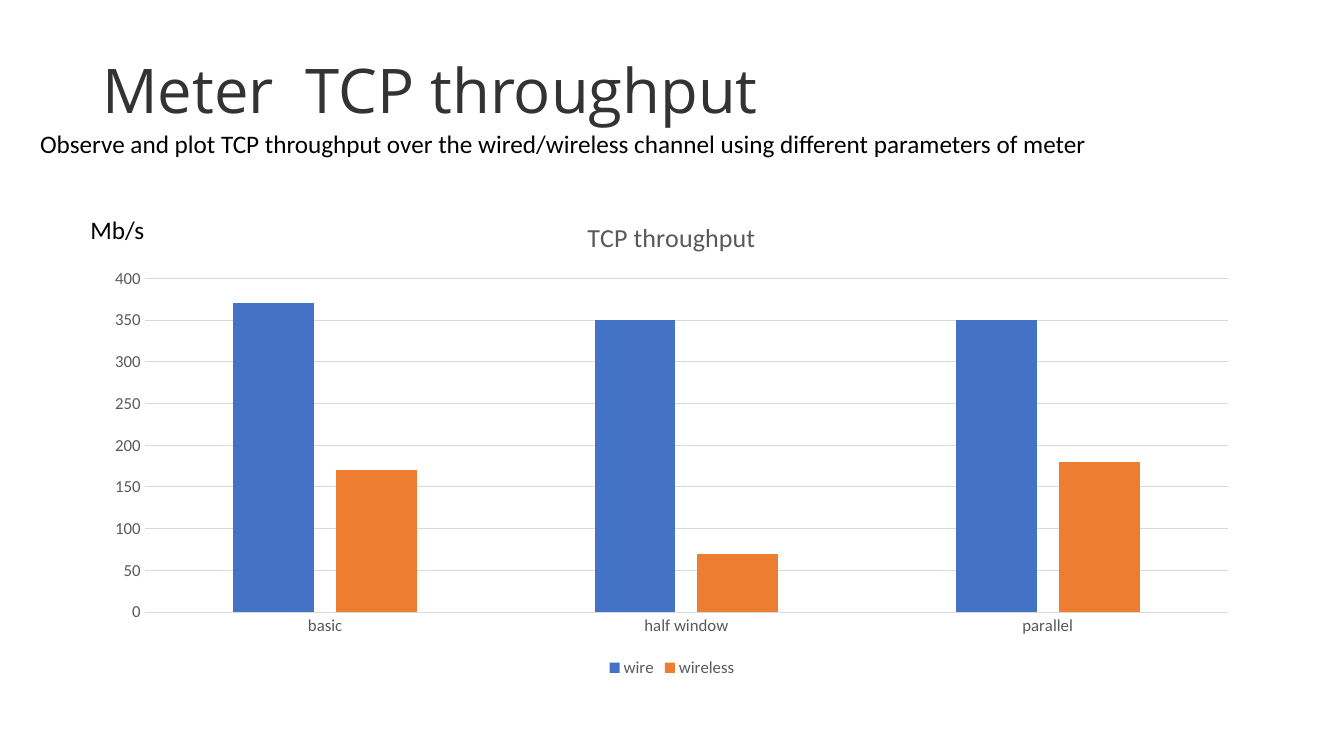
"""Build a slide charting TCP throughput over wired and wireless channels."""
from lxml.etree import SubElement
from pptx import Presentation
from pptx.chart.data import CategoryChartData
from pptx.dml.color import RGBColor
from pptx.enum.chart import XL_CHART_TYPE, XL_LEGEND_POSITION, XL_TICK_MARK
from pptx.enum.text import MSO_ANCHOR
from pptx.oxml.ns import qn
from pptx.util import Cm, Pt


def rgb(code):
    return RGBColor.from_string(code)


def place(part, modes, percents):
    for old in part.findall(qn("c:layout")):
        part.remove(old)
    layout = SubElement(part, qn("c:layout"))
    manual = SubElement(layout, qn("c:manualLayout"))
    for name, mode in modes.items():
        SubElement(manual, qn(f"c:{name}")).set("val", mode)
    for name, percent in percents.items():
        SubElement(manual, qn(f"c:{name}")).set("val", str(percent / 100))
    return layout


deck = Presentation()
deck.slide_width, deck.slide_height = Cm(33.87), Cm(19.05)
slide = deck.slides.add_slide(deck.slide_layouts[6])

throughput = CategoryChartData()
throughput.categories = ["basic", "half window", "parallel"]
throughput.add_series("wire", [370, 350, 350])
throughput.add_series("wireless", [170, 70, 180])
chart = slide.shapes.add_chart(
    XL_CHART_TYPE.COLUMN_CLUSTERED, Cm(2.33), Cm(5.08), Cm(29.21), Cm(12.1), throughput
).chart
chart.font.name = "Calibri"
chart.font.size = Pt(12)
chart.font.color.rgb = rgb("595959")

chart.has_title = True
chart.chart_title.include_in_layout = False
heading = chart.chart_title.text_frame.paragraphs[0]
heading.text = "TCP throughput"
heading.font.name = "Calibri"
heading.font.size = Pt(18.6)
heading.font.bold = False
heading.font.color.rgb = rgb("595959")
edges = {"xMode": "edge", "yMode": "edge"}
title_part = chart.chart_title._element
heading_layout = place(title_part, edges, {"x": 42.3, "y": 2.6})
title_part.find(qn("c:tx")).addnext(heading_layout)

chart.has_legend = True
chart.legend.position = XL_LEGEND_POSITION.BOTTOM
chart.legend.include_in_layout = False

columns = chart.plots[0]
columns.gap_width = 219
columns.overlap = -27
columns.vary_by_categories = False
for series, color in zip(columns.series, ["4472C4", "ED7D31"]):
    series.format.fill.solid()
    series.format.fill.fore_color.rgb = rgb(color)

plot_area = chart._chartSpace.chart.plotArea
plot_layout = place(plot_area, {"layoutTarget": "inner", **edges},
                    {"x": 4.5, "y": 16, "w": 93.5, "h": 69.5})
plot_area.insert(0, plot_layout)

for axis in (chart.category_axis, chart.value_axis):
    axis.major_tick_mark = axis.minor_tick_mark = XL_TICK_MARK.NONE
chart.value_axis.minimum_scale = 0
chart.value_axis.maximum_scale = 400
chart.value_axis.major_unit = 50
chart.value_axis.format.line.fill.background()
for line in (chart.category_axis.format.line, chart.value_axis.major_gridlines.format.line):
    line.color.rgb = rgb("D9D9D9")
    line.width = Pt(0.75)

texts = [
    ("Meter  TCP throughput", 2.33, 1.02, 25.15, 2.67, "Open Sans", 44, "333333", 0.9),
    ("Observe and plot TCP throughput over the wired/wireless channel "
     "using different parameters of meter", 0.76, 3.1, 31.67, 1.02, "Calibri", 18, "000000", 1),
    ("Mb/s", 2.03, 5.26, 2.62, 1.02, "Calibri", 18, "000000", 1),
]
for wording, left, top, width, height, font, size, color, spacing in texts:
    frame = slide.shapes.add_textbox(Cm(left), Cm(top), Cm(width), Cm(height)).text_frame
    frame.word_wrap = True
    frame.vertical_anchor = MSO_ANCHOR.MIDDLE
    paragraph = frame.paragraphs[0]
    paragraph.text = wording
    paragraph.line_spacing = spacing
    paragraph.font.name = font
    paragraph.font.size = Pt(size)
    paragraph.font.color.rgb = rgb(color)

deck.save("out.pptx")
